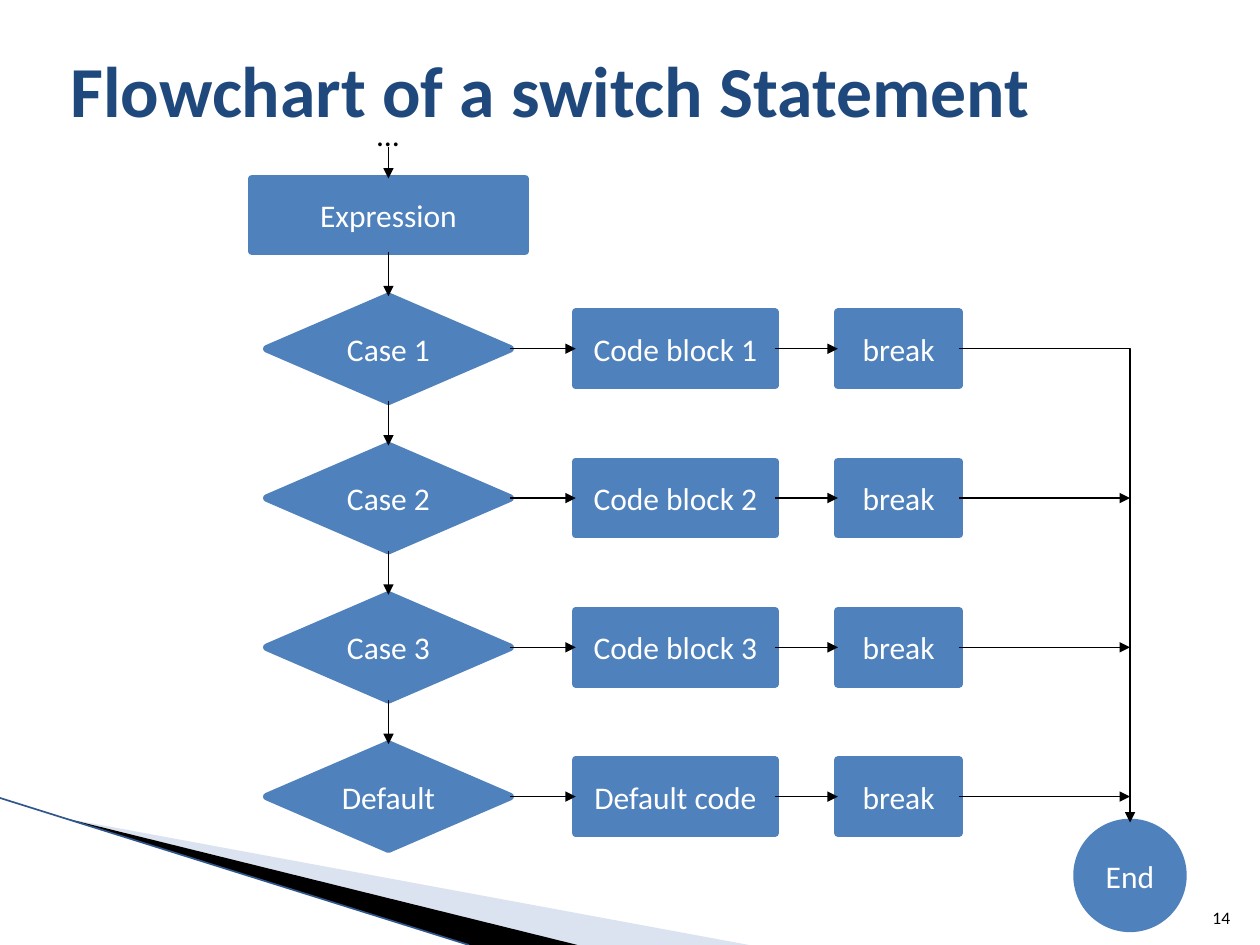
from dataclasses import dataclass

from lxml import etree
from pptx import Presentation
from pptx.dml.color import RGBColor
from pptx.enum import shapes, text
from pptx.oxml import ns
from pptx.util import Pt


@dataclass(frozen=True)
class Theme:
    """Colours and type sizes of the slide."""
    font: str = "Calibri"
    title: str = "1F497D"
    node: str = "4F81BD"
    node_text: str = "FFFFFF"
    ink: str = "000000"
    wedge: str = "A7B9DB"
    edge: str = "30578B"
    title_size: float = 41
    body_size: float = 18
    number_size: float = 10


THEME = Theme()
SHAPE = shapes.MSO_SHAPE
TOP, BOTTOM, RIGHT, LEFT = 0, 2, 3, 1


def write(frame, words, size, color, align, bold=False):
    """Put one formatted paragraph in a text frame."""
    frame.text = words
    line = frame.paragraphs[0]
    line.alignment = align
    line.font.name = THEME.font
    line.font.size = Pt(size)
    line.font.bold = bold
    line.font.color.rgb = RGBColor.from_string(color)


def add_node(slide, kind, words, center_x, center_y, width, height):
    """Draw a flowchart node around its centre."""
    node = slide.shapes.add_shape(kind, Pt(center_x - width / 2), Pt(center_y - height / 2),
                                  Pt(width), Pt(height))
    node.shadow.inherit = False
    node.fill.solid()
    node.fill.fore_color.rgb = RGBColor.from_string(THEME.node)
    node.line.color.rgb = RGBColor.from_string(THEME.node)
    node.line.width = Pt(4.33)
    frame = node.text_frame
    frame.margin_left = frame.margin_right = 0
    frame.vertical_anchor = text.MSO_ANCHOR.MIDDLE
    write(frame, words, THEME.body_size, THEME.node_text, text.PP_ALIGN.CENTER)
    return node


def add_line(slide, start, end, color=THEME.ink, width=0.75, arrow=True,
             kind=shapes.MSO_CONNECTOR.STRAIGHT):
    """Draw a connector between two points, with an optional arrowhead."""
    line = slide.shapes.add_connector(kind, *(Pt(v) for v in (*start, *end)))
    line.line.color.rgb = RGBColor.from_string(color)
    line.line.width = Pt(width)
    if arrow:
        etree.SubElement(line.line._get_or_add_ln(), ns.qn("a:tailEnd"), type="triangle")
    etree.SubElement(line._element.spPr, ns.qn("a:effectLst"))
    return line


def join(slide, source, source_side, target, target_side, **style):
    """Connect a side of one node to a side of another."""
    line = add_line(slide, (0, 0), (0, 0), **style)
    line.begin_connect(source, source_side)
    line.end_connect(target, target_side)
    return line


def add_wedge(slide, points, color, opacity=None):
    """Draw a filled polygon without an outline."""
    corners = [(Pt(x), Pt(y)) for x, y in points]
    builder = slide.shapes.build_freeform(*corners[0])
    builder.add_line_segments(corners[1:], close=True)
    wedge = builder.convert_to_shape()
    wedge.shadow.inherit = False
    wedge.fill.solid()
    wedge.fill.fore_color.rgb = RGBColor.from_string(color)
    wedge.line.fill.background()
    if opacity:
        tint = wedge._element.spPr.find(".//" + ns.qn("a:srgbClr"))
        etree.SubElement(tint, ns.qn("a:alpha"), val=str(opacity * 1000))


def add_corner(slide, left, top, width, height):
    """Draw the decorative wedges in the lower left corner."""
    bottom = top + height
    tip = (left + 39, top + 12)
    add_wedge(slide, [tip, (left + width, bottom), (left + 329, bottom)], THEME.wedge, 40)
    add_wedge(slide, [tip, (left + 330, bottom), (left + 268, bottom)], THEME.ink)
    add_line(slide, (left, top), (left + 268, bottom), THEME.edge, 0.95, arrow=False)


def add_title(slide, left, top, width, height):
    """Place and format the title placeholder."""
    title = slide.shapes.title
    title.left, title.top, title.width, title.height = map(Pt, (left, top, width, height))
    title.text_frame.vertical_anchor = text.MSO_ANCHOR.MIDDLE
    write(title.text_frame, "Flowchart of a switch Statement", THEME.title_size,
          THEME.title, text.PP_ALIGN.LEFT, bold=True)


def add_label(slide, words, size, align, anchor, left, top, width, height):
    """Place a one-line text box."""
    label = slide.shapes.add_textbox(*map(Pt, (left, top, width, height)))
    label.text_frame.word_wrap = False
    label.text_frame.vertical_anchor = anchor
    write(label.text_frame, words, size, THEME.ink, align)


def add_flowchart(slide, left, top, width, height):
    """Draw the switch flowchart inside its box."""
    case_x, code_x, break_x = left + 78, left + 242, left + 369.5
    end_size = 60.5
    trunk_x = left + width - end_size / 2
    first_y, pitch = top + 97.3, 85.3
    box_height = 41.8

    expression = add_node(slide, SHAPE.RECTANGLE, "Expression", case_x,
                          top + box_height / 2, 156, box_height)
    end = add_node(slide, SHAPE.OVAL, "End", trunk_x, top + height - end_size / 2,
                   end_size, end_size)
    entry = add_line(slide, (case_x, top - 18), (case_x, top))
    entry.end_connect(expression, TOP)

    previous = expression
    rows = [(f"Case {n}", f"Code block {n}") for n in (1, 2, 3)] + [("Default", "Default code")]
    for index, (case_words, code_words) in enumerate(rows):
        y = first_y + index * pitch
        case = add_node(slide, SHAPE.DIAMOND, case_words, case_x, y, 139, 60)
        code = add_node(slide, SHAPE.RECTANGLE, code_words, code_x, y, 114, box_height)
        leave = add_node(slide, SHAPE.RECTANGLE, "break", break_x, y, 69.4, box_height)
        join(slide, previous, BOTTOM, case, TOP)
        join(slide, case, RIGHT, code, LEFT)
        join(slide, code, RIGHT, leave, LEFT)
        if index == 0:
            trunk = join(slide, leave, RIGHT, end, TOP, kind=shapes.MSO_CONNECTOR.ELBOW)
            trunk._element.spPr.find(ns.qn("a:prstGeom")).set("prst", "bentConnector2")
        else:
            branch = add_line(slide, (break_x, y), (trunk_x, y))
            branch.begin_connect(leave, RIGHT)
        previous = case


def main():
    """Build and save the slide."""
    deck = Presentation()
    deck.slide_width, deck.slide_height = Pt(720), Pt(540)
    slide = deck.slides.add_slide(deck.slide_layouts[5])
    add_corner(slide, 0, 456, 428, 84)
    add_title(slide, 33, 6, 648, 90)
    add_flowchart(slide, 144, 102, 532, 428.5)
    add_label(slide, "…", THEME.body_size, text.PP_ALIGN.LEFT, text.MSO_ANCHOR.TOP,
              208.5, 62, 27.5, 29)
    add_label(slide, "14", THEME.number_size, text.PP_ALIGN.RIGHT, text.MSO_ANCHOR.BOTTOM,
              681, 505, 29, 29)
    deck.save("out.pptx")


if __name__ == "__main__":
    main()
